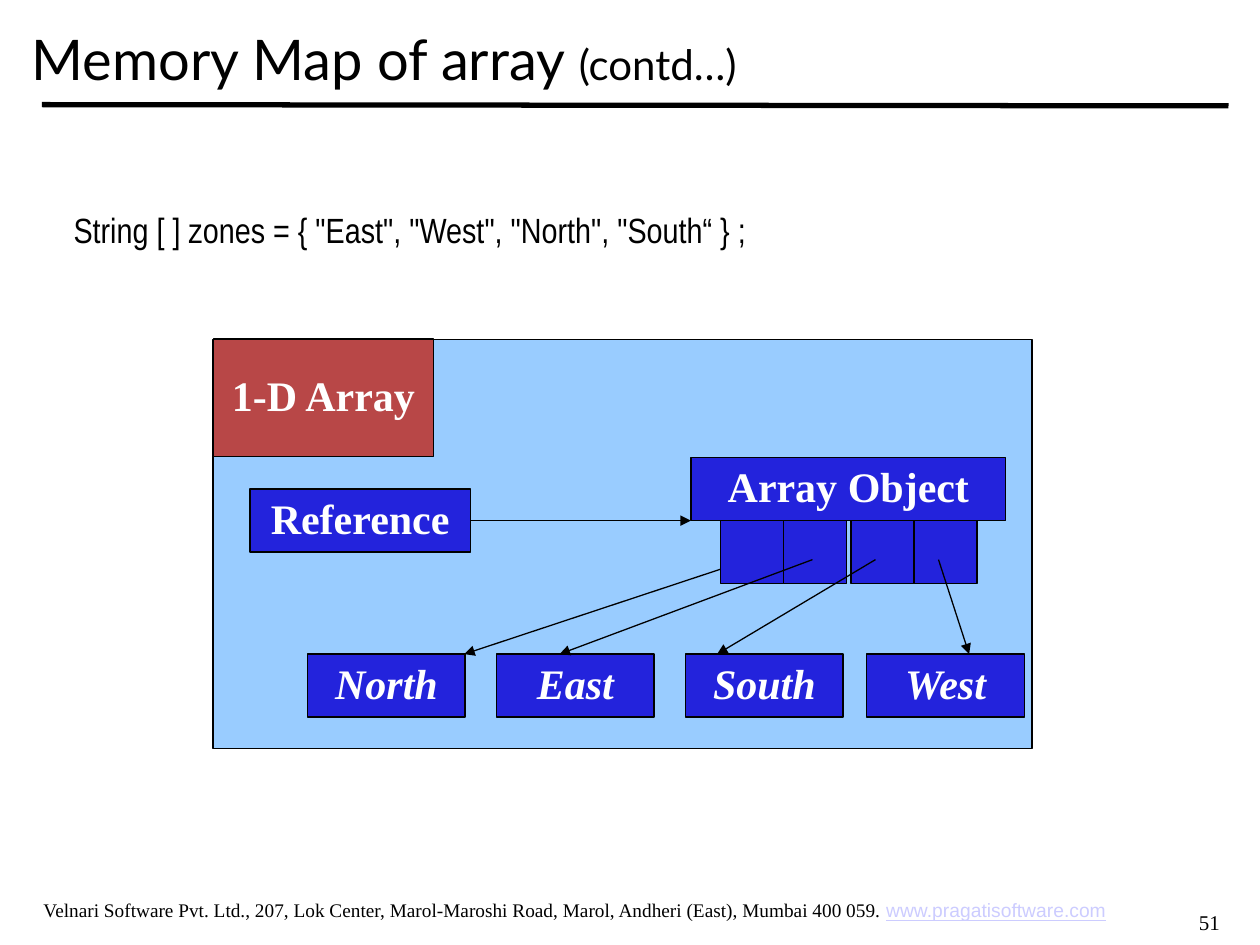
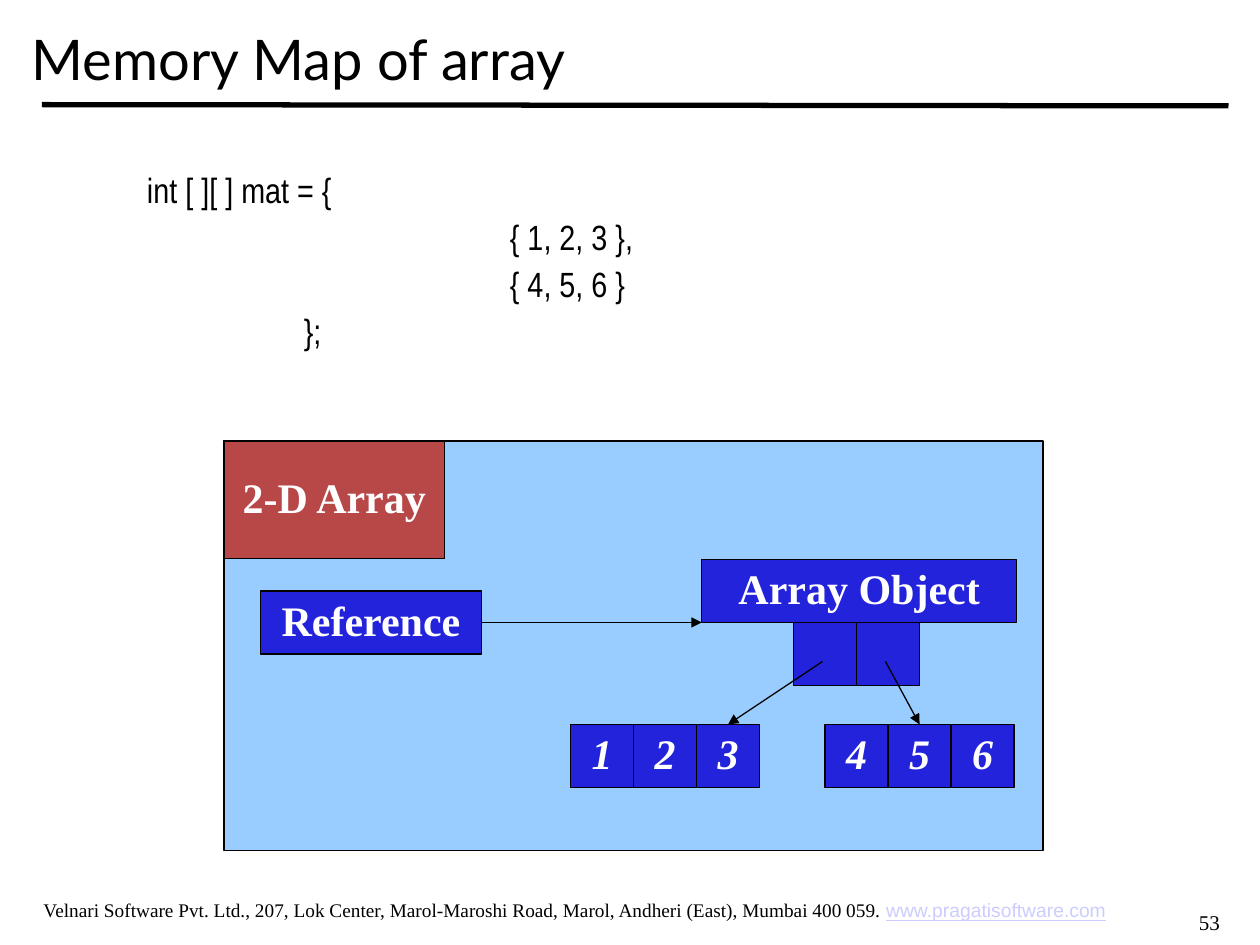
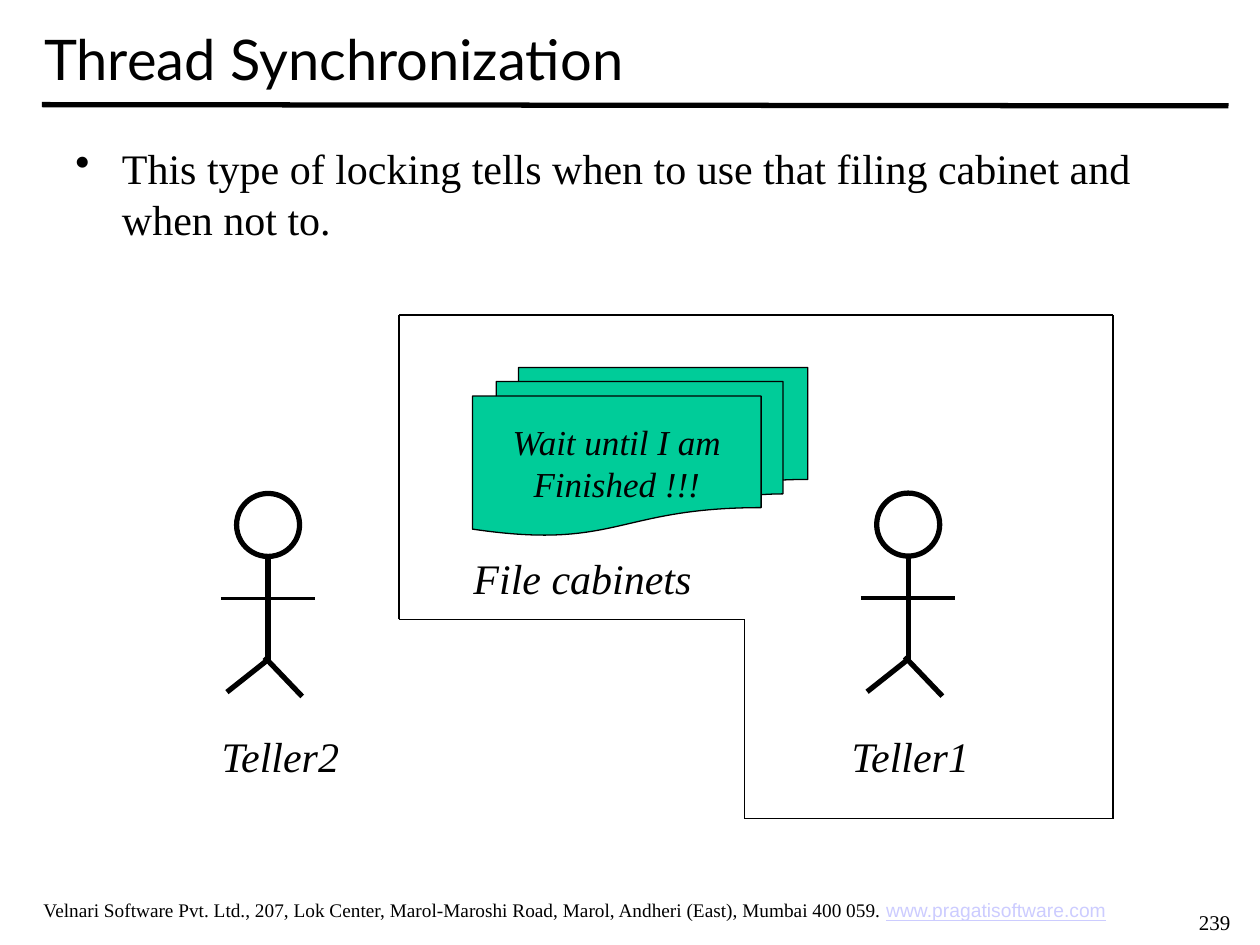
from itertools import chain
from typing import NamedTuple, Optional

from lxml import etree
from pptx import Presentation
from pptx import util as u
from pptx.dml.color import RGBColor
from pptx.enum import shapes, text
from pptx.oxml import ns

BLACK = RGBColor(0x00, 0x00, 0x00)
WHITE = RGBColor(0xFF, 0xFF, 0xFF)
LINK = RGBColor(0xCC, 0xCC, 0xFF)
PANEL = RGBColor(0x99, 0xCC, 0xFF)
LABEL = RGBColor(0xB8, 0x47, 0x47)
BLOCK = RGBColor(0x23, 0x23, 0xDC)
DOCUMENT = RGBColor(0x00, 0xCC, 0x99)

SERIF, SANS, TITLE, CODE = "Times New Roman", "Arial", "Lato", "Arial Narrow"
RECTANGLE = shapes.MSO_SHAPE.RECTANGLE
CENTER = text.PP_ALIGN.CENTER
MIDDLE = text.MSO_ANCHOR.MIDDLE
TOP_SIDE, RIGHT_SIDE = 0, 3
CELL = 36
INSETS = (7.2, 3.6)
NO_INSETS = (0, 0)


class Point(NamedTuple):
    x: float
    y: float

    def shift(self, dx: float, dy: float) -> "Point":
        return Point(self.x + dx, self.y + dy)


class Rect(NamedTuple):
    x: float
    y: float
    width: float
    height: float

    def lengths(self) -> list:
        return [u.Pt(value) for value in self]


class Span(NamedTuple):
    words: str
    size: float = 24
    font: str = SERIF
    color: RGBColor = BLACK
    bold: bool = False
    italic: bool = False
    underline: bool = False


class Para(NamedTuple):
    spans: list
    indent: float = 0
    bullet: Optional[str] = None


class Pointer(NamedTuple):
    """An arrow from inside a cell, relative to the panel's corner."""
    start: Point
    end: Point


def write(shape, paras: list, *, align=None, anchor=None, spacing=None,
          insets=INSETS, wrap=True) -> None:
    """Fill a shape's text frame with formatted paragraphs."""
    frame = shape.text_frame
    frame.word_wrap = wrap
    frame.vertical_anchor = anchor
    frame.margin_left = frame.margin_right = u.Pt(insets[0])
    frame.margin_top = frame.margin_bottom = u.Pt(insets[1])
    for index, item in enumerate(paras):
        para = frame.add_paragraph() if index else frame.paragraphs[0]
        para.alignment = align
        para.line_spacing = spacing
        properties = para._p.get_or_add_pPr()
        if item.indent:
            properties.set("marL", str(u.Pt(item.indent)))
        if item.bullet:
            properties.set("indent", str(-u.Pt(item.indent)))
            bullet = etree.SubElement(properties, ns.qn("a:buChar"))
            bullet.set("char", item.bullet)
        for span in item.spans:
            run = para.add_run()
            run.text = span.words
            run.font.size = u.Pt(span.size)
            run.font.name = span.font
            run.font.color.rgb = span.color
            run.font.bold = span.bold
            run.font.italic = span.italic
            run.font.underline = span.underline


def add_text(page, rect: Rect, paras: list, **style) -> None:
    write(page.shapes.add_textbox(*rect.lengths()), paras, **style)


def add_shape(page, rect: Rect, fill: RGBColor, kind=RECTANGLE, weight=0.75):
    shape = page.shapes.add_shape(kind, *rect.lengths())
    shape.shadow.inherit = False
    shape.fill.solid()
    shape.fill.fore_color.rgb = fill
    shape.line.color.rgb = BLACK
    shape.line.width = u.Pt(weight)
    return shape


def add_block(page, rect: Rect, words="", fill=BLOCK, italic=False):
    block = add_shape(page, rect, fill)
    if words:
        span = Span(words, color=WHITE, bold=True, italic=italic)
        write(block, [Para([span])], align=CENTER, anchor=MIDDLE, spacing=0.9, wrap=False)
    return block


def add_line(page, start: Point, end: Point, weight=0.75, arrow=False):
    ends = [u.Pt(value) for value in (*start, *end)]
    line = page.shapes.add_connector(shapes.MSO_CONNECTOR.STRAIGHT, *ends)
    line.line.color.rgb = BLACK
    line.line.width = u.Pt(weight)
    properties = line._element.spPr
    if arrow:
        outline = properties.find(ns.qn("a:ln"))
        etree.SubElement(outline, ns.qn("a:tailEnd")).set("type", "triangle")
    etree.SubElement(properties, ns.qn("a:effectLst"))
    return line


def start_page(deck, number: int, title: list, title_left: float = 18):
    """Add a blank page with the shared rule, footer, number and title."""
    page = deck.slides.add_slide(deck.slide_layouts[6])
    add_line(page, Point(24, 59.8), Point(702, 60.5), weight=3)
    address = ("Velnari Software Pvt. Ltd., 207, Lok Center, Marol-Maroshi Road, "
               "Marol, Andheri (East), Mumbai 400 059. ")
    site = Span("www.pragatisoftware.com", 11, SANS, LINK, underline=True)
    add_text(page, Rect(0, 510, 657, 21), [Para([Span(address, 11), site])], align=CENTER)
    add_text(page, Rect(678, 516, 39, 22), [Para([Span(str(number), 12)])], wrap=False)
    add_text(page, Rect(title_left, 3.6, 684, 59), [Para(title)],
             anchor=MIDDLE, insets=NO_INSETS)
    return page


def heading(words: str, size: float = 32) -> Span:
    return Span(words, size, TITLE)


def code(words: str, indent: float = 0) -> Para:
    return Para([Span(words, 20, CODE)], indent)


def add_array_panel(page, corner: Point, label: str) -> None:
    """Draw the panel, its label, and the reference to the array object."""
    add_shape(page, Rect(*corner, 468, 234), PANEL)
    add_block(page, Rect(*corner, 126, 67), label, LABEL)
    reference = add_block(page, Rect(*corner.shift(21, 85.7), 126, CELL), "Reference")
    add_block(page, Rect(*corner.shift(273, 67.7), 180, CELL), "Array Object")
    arrow = add_line(page, corner.shift(147, 103.7), corner.shift(273, 103.7), arrow=True)
    arrow.begin_connect(reference, RIGHT_SIDE)


def add_cells(page, corner: Point, lefts: list) -> None:
    for left in lefts:
        add_block(page, Rect(*corner.shift(left, 103.7), CELL, CELL))


def add_pointer(page, corner: Point, pointer: Pointer):
    return add_line(page, corner.shift(*pointer.start), corner.shift(*pointer.end),
                    arrow=True)


def build_one_dimension(deck) -> None:
    page = start_page(deck, 51, [heading("Memory Map of array "), heading("(contd…)", 24)])
    add_text(page, Rect(42, 116.5, 636, 40),
             [code('String [ ] zones = { "East", "West", "North", "South“ } ;')],
             insets=NO_INSETS, spacing=1.12)
    corner = Point(121.8, 193.8)
    add_array_panel(page, corner, "1-D Array")
    zones = {"North": 54, "East": 162, "South": 270, "West": 373.5}
    for zone, left in zones.items():
        add_block(page, Rect(*corner.shift(left, 180), 90, CELL), zone, italic=True)
    first, *others = [Pointer(Point(306.5 + index * CELL, 126), Point(end, 180))
                      for index, end in enumerate([143.5, 198, 288, 432])]
    add_pointer(page, corner, first)
    add_cells(page, corner, [290, 326, 364.5, 400.5])
    for pointer in others:
        add_pointer(page, corner, pointer)


def build_two_dimensions(deck) -> None:
    page = start_page(deck, 53, [heading("Memory Map of array")])
    corner = Point(128, 252)
    add_array_panel(page, corner, "2-D Array")
    add_cells(page, corner, [325.5, 361.5])
    rows = {198: "123", 343.5: "456"}
    targets = (2, 1)
    for row, ((left, digits), target) in enumerate(zip(rows.items(), targets)):
        blocks = [add_block(page, Rect(*corner.shift(left + column * CELL, 162), CELL, CELL),
                            digit, italic=True)
                  for column, digit in enumerate(digits)]
        end = Point(left + (target + 0.5) * CELL, 162)
        arrow = add_pointer(page, corner, Pointer(Point(342 + row * CELL, 126), end))
        arrow.end_connect(blocks[target], TOP_SIDE)
    add_text(page, Rect(84, 93.6, 564, 136),
             [code("int [ ][ ] mat = {"), code("{ 1, 2, 3 },", 207.4),
              code("{ 4, 5, 6 }", 207.4), code("};", 89.7)],
             insets=NO_INSETS, spacing=1.12)


def add_teller(page, neck: Point, name: str, name_left: float) -> None:
    """Draw a stick figure whose body hangs from the neck, with its name below."""
    add_shape(page, Rect(*neck.shift(-18, -36), 36, 36), WHITE,
              shapes.MSO_SHAPE.OVAL, weight=3)
    limbs = [
        (Point(0, 0), Point(0, 59.5), 3),
        (Point(0.5, 58.5), Point(-23.5, 77.5), 3),
        (Point(-27, 24), Point(27, 24), 2.25),
        (Point(19.5, 80), Point(-2, 57.5), 3),
    ]
    for start, end, weight in limbs:
        add_line(page, neck.shift(*start), neck.shift(*end), weight)
    add_caption(page, Rect(name_left, 414, 84, 36), name)


def add_caption(page, rect: Rect, words: str) -> None:
    add_text(page, rect, [Para([Span(words, italic=True)])], wrap=False)


def build_synchronization(deck) -> None:
    page = start_page(deck, 239, [heading("Thread Synchronization")], 25.2)
    sentence = "This type of locking tells when to use that filing cabinet and when not to."
    add_text(page, Rect(36, 78, 636, 420), [Para([Span(sentence)], 26.6, "•")])
    room = [Point(228, 180), Point(636, 180), Point(636, 467.8),
            Point(425.5, 467.8), Point(425.5, 354), Point(228, 354)]
    for start, end in zip(room, chain(room[1:], room[:1])):
        add_line(page, start, end)
    cabinet = add_shape(page, Rect(270, 210, 191.6, 96), DOCUMENT,
                        shapes.MSO_SHAPE.FLOWCHART_MULTIDOCUMENT)
    notice = [Para([Span(words, 20, italic=True)])
              for words in ("Wait until I am", "Finished !!!")]
    write(cabinet, notice, align=CENTER, anchor=MIDDLE)
    add_caption(page, Rect(263.5, 312, 139, 36), "File cabinets")
    add_teller(page, Point(153.2, 318), "Teller2", 119.6)
    add_teller(page, Point(519, 317.8), "Teller1", 479.6)


def main() -> None:
    deck = Presentation()
    deck.slide_width, deck.slide_height = u.Pt(720), u.Pt(540)
    build_one_dimension(deck)
    build_two_dimensions(deck)
    build_synchronization(deck)
    deck.save("out.pptx")


if __name__ == "__main__":
    main()
